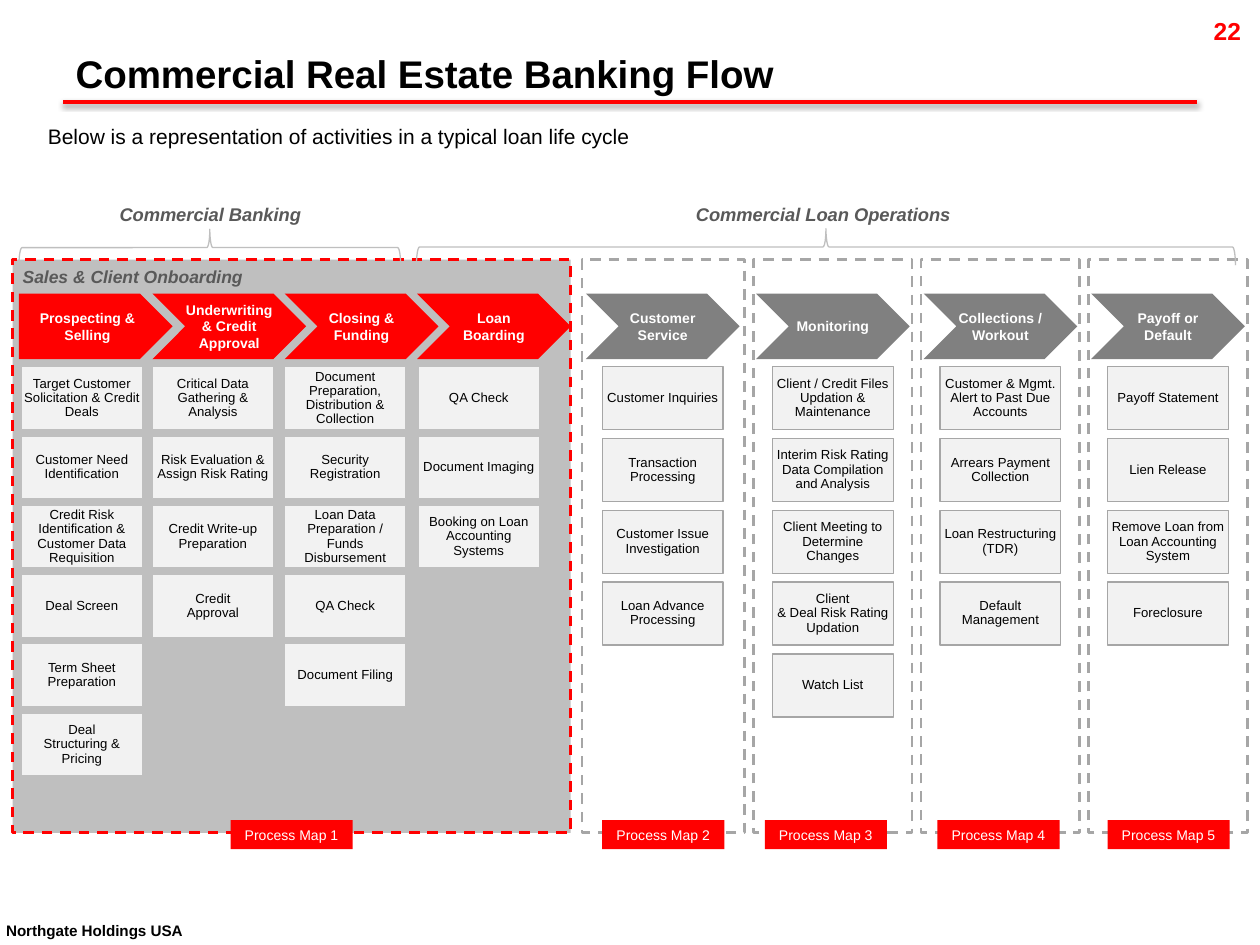
from pptx import Presentation
from pptx.dml.color import RGBColor
from pptx.enum.dml import MSO_LINE
from pptx.enum.shapes import MSO_CONNECTOR, MSO_SHAPE as Shape
from pptx.enum.text import MSO_ANCHOR as Anchor, MSO_AUTO_SIZE, PP_ALIGN as Align
from pptx.oxml import parse_xml
from pptx.util import Inches, Pt

RED = RGBColor(0xFF, 0x00, 0x00)
BLACK = RGBColor(0x00, 0x00, 0x00)
WHITE = RGBColor(0xFF, 0xFF, 0xFF)
DARK_GRAY = RGBColor(0x59, 0x59, 0x59)
GRAY = RGBColor(0x80, 0x80, 0x80)
MID_GRAY = RGBColor(0xA6, 0xA6, 0xA6)
PANEL_GRAY = RGBColor(0xBF, 0xBF, 0xBF)
PALE_GRAY = RGBColor(0xF2, 0xF2, 0xF2)

RULE_SHADOW = (
    '<a:effectLst xmlns:a="http://schemas.openxmlformats.org/drawingml/2006/main">'
    '<a:outerShdw blurRad="39370" dist="20320" dir="5400000" rotWithShape="0">'
    '<a:srgbClr val="000000"><a:alpha val="38000"/></a:srgbClr>'
    '</a:outerShdw></a:effectLst>'
)

FRAME_TOP, FRAME_HEIGHT = 2.06, 4.55
STAGE_TOP, STAGE_WIDTH, STAGE_HEIGHT = 2.33, 1.22, 0.52
STEP_TOP, STEP_WIDTH, STEP_HEIGHT = 2.91, 0.96, 0.5

# Stage left, step left, stage name, steps
ONBOARDING = [
    (0.15, 0.17, "Prospecting & Selling", [
        "Target Customer Solicitation & Credit Deals", "Customer Need Identification",
        "Credit Risk Identification & Customer Data Requisition", "Deal Screen",
        "Term Sheet Preparation", "Deal\nStructuring & Pricing"]),
    (1.21, 1.21, "Underwriting & Credit Approval", [
        "Critical Data Gathering & Analysis", "Risk Evaluation & Assign Risk Rating",
        "Credit Write-up Preparation", "Credit\nApproval"]),
    (2.26, 2.26, "Closing & Funding", [
        "Document Preparation, Distribution & Collection", "Security Registration",
        "Loan Data Preparation / Funds Disbursement", "QA Check", "Document Filing"]),
    (3.31, 3.32, "Loan Boarding", [
        "QA Check", "Document Imaging", "Booking on Loan Accounting Systems"]),
]
OPERATIONS = [
    (4.65, 4.78, "Customer Service", [
        "Customer Inquiries", "Transaction Processing",
        "Customer Issue Investigation", "Loan Advance Processing"]),
    (6.0, 6.13, "Monitoring", [
        "Client / Credit Files\nUpdation & Maintenance",
        "Interim Risk Rating Data Compilation and Analysis",
        "Client Meeting to Determine Changes",
        "Client\n& Deal Risk Rating Updation", "Watch List"]),
    (7.33, 7.46, "Collections / Workout", [
        "Customer & Mgmt. Alert to Past Due Accounts", "Arrears Payment Collection",
        "Loan Restructuring (TDR)", "Default Management"]),
    (8.66, 8.79, "Payoff or Default", [
        "Payoff Statement", "Lien Release",
        "Remove Loan from Loan Accounting System", "Foreclosure"]),
]
OPERATION_FRAMES = [(4.62, 1.29), (5.98, 1.26), (7.31, 1.26), (8.64, 1.26)]
MAP_LEFTS = [1.83, 4.78, 6.07, 7.44, 8.79]

deck = Presentation()
deck.slide_width, deck.slide_height = Inches(10), Inches(7.5)
page = deck.slides.add_slide(deck.slide_layouts[5])


def write(box, text, size=8, color=BLACK, bold=False, italic=False, align=Align.LEFT,
          anchor=Anchor.TOP, inset=(0, 0), spacing=None, wrap=True):
    """Fill a shape with text, one paragraph per line; inset is (sides, top and bottom)."""
    frame = box.text_frame
    frame.text = text
    frame.word_wrap = wrap
    frame.auto_size = MSO_AUTO_SIZE.NONE
    frame.vertical_anchor = anchor
    frame.margin_left = frame.margin_right = Inches(inset[0])
    frame.margin_top = frame.margin_bottom = Inches(inset[1])
    for para in frame.paragraphs:
        para.alignment = align
        para.line_spacing = spacing
        for span in para.runs:
            span.font.name = "Arial"
            span.font.size = Pt(size)
            span.font.bold = bold
            span.font.italic = italic
            span.font.color.rgb = color


def add_block(kind, left, top, width, height, fill=None, line=None, weight=0.75, dash=None):
    block = page.shapes.add_shape(
        kind, Inches(left), Inches(top), Inches(width), Inches(height))
    block.shadow.inherit = False
    if fill is None:
        block.fill.background()
    else:
        block.fill.solid()
        block.fill.fore_color.rgb = fill
    if line is None:
        block.line.fill.background()
    else:
        block.line.color.rgb = line
        block.line.width = Pt(weight)
        block.line.dash_style = dash
    return block


# Title, rule and page furniture
title = page.shapes.title
title.left, title.top, title.width, title.height = (
    Inches(0.5), Inches(0.34), Inches(9), Inches(0.47))
write(title, "Commercial Real Estate Banking Flow", size=22, bold=True,
      anchor=Anchor.BOTTOM, inset=(0.1, 0.05))

rule = page.shapes.add_connector(
    MSO_CONNECTOR.STRAIGHT, Inches(0.5), Inches(0.81), Inches(9.5), Inches(0.81))
rule.line.color.rgb = RED
rule.line.width = Pt(2)
rule._element.spPr.append(parse_xml(RULE_SHADOW))

page_number = page.shapes.add_textbox(Inches(9.55), Inches(0.08), Inches(0.36), Inches(0.34))
write(page_number, "22", size=14, color=RED, bold=True, align=Align.RIGHT,
      inset=(0.06, 0.05), wrap=False)

footer = page.shapes.add_textbox(Inches(-0.05), Inches(7.24), Inches(1.91), Inches(0.35))
write(footer, "Northgate Holdings USA", size=15, bold=True, anchor=Anchor.MIDDLE,
      inset=(0.1, 0.05), wrap=False)
footer.text_frame.paragraphs[0].runs[0].font._element.set("baseline", "30000")

intro = page.shapes.add_textbox(Inches(0.38), Inches(0.93), Inches(9.3), Inches(0.3))
write(intro, "Below is a representation of activities in a typical loan life cycle",
      size=12, inset=(0, 0.05))

# Frames around the process groups
add_block(Shape.RECTANGLE, 0.1, FRAME_TOP, 4.43, FRAME_HEIGHT,
          fill=PANEL_GRAY, line=RED, weight=1.5, dash=MSO_LINE.DASH)
for left, width in OPERATION_FRAMES:
    add_block(Shape.RECTANGLE, left, FRAME_TOP, width, FRAME_HEIGHT,
              line=MID_GRAY, weight=1.5, dash=MSO_LINE.DASH)

# Stages with their steps below
for group, stage_fill, step_line, pitch in (
        (ONBOARDING, RED, PANEL_GRAY, 0.55), (OPERATIONS, GRAY, MID_GRAY, 0.57)):
    for stage_left, step_left, name, steps in group:
        kind = Shape.PENTAGON if stage_left == ONBOARDING[0][0] else Shape.CHEVRON
        stage = add_block(kind, stage_left, STAGE_TOP, STAGE_WIDTH, STAGE_HEIGHT,
                          fill=stage_fill)
        write(stage, name, color=WHITE, bold=True, align=Align.CENTER, anchor=Anchor.MIDDLE)
        for row, text in enumerate(steps):
            step = add_block(Shape.RECTANGLE, step_left, STEP_TOP + row * pitch,
                             STEP_WIDTH, STEP_HEIGHT, fill=PALE_GRAY, line=step_line)
            write(step, text, size=7.5, align=Align.CENTER, anchor=Anchor.MIDDLE,
                  inset=(0.02, 0), spacing=0.9)

# Braces, turned to open downwards
for left, top, length in ((1.52, 0.45, 3.03), (6.41, -1.29, 6.5)):
    brace = add_block(Shape.LEFT_BRACE, left, top, 0.29, length, line=PANEL_GRAY)
    brace.rotation = 90

for text, left, top, width, size, align in (
        ("Commercial Banking", 0.92, 1.61, 1.5, 10.5, Align.CENTER),
        ("Commercial Loan Operations", 5.46, 1.61, 2.15, 10.5, Align.CENTER),
        ("Sales & Client Onboarding", 0.18, 2.11, 2.79, 10, Align.LEFT)):
    heading = page.shapes.add_textbox(Inches(left), Inches(top), Inches(width), Inches(0.18))
    write(heading, text, size=size, color=DARK_GRAY, bold=True, italic=True, align=align)

for number, left in enumerate(MAP_LEFTS, start=1):
    label = add_block(Shape.RECTANGLE, left, 6.51, 0.97, 0.23, fill=RED)
    write(label, f"Process Map {number}", color=WHITE, align=Align.CENTER,
          anchor=Anchor.MIDDLE)

deck.save("out.pptx")
